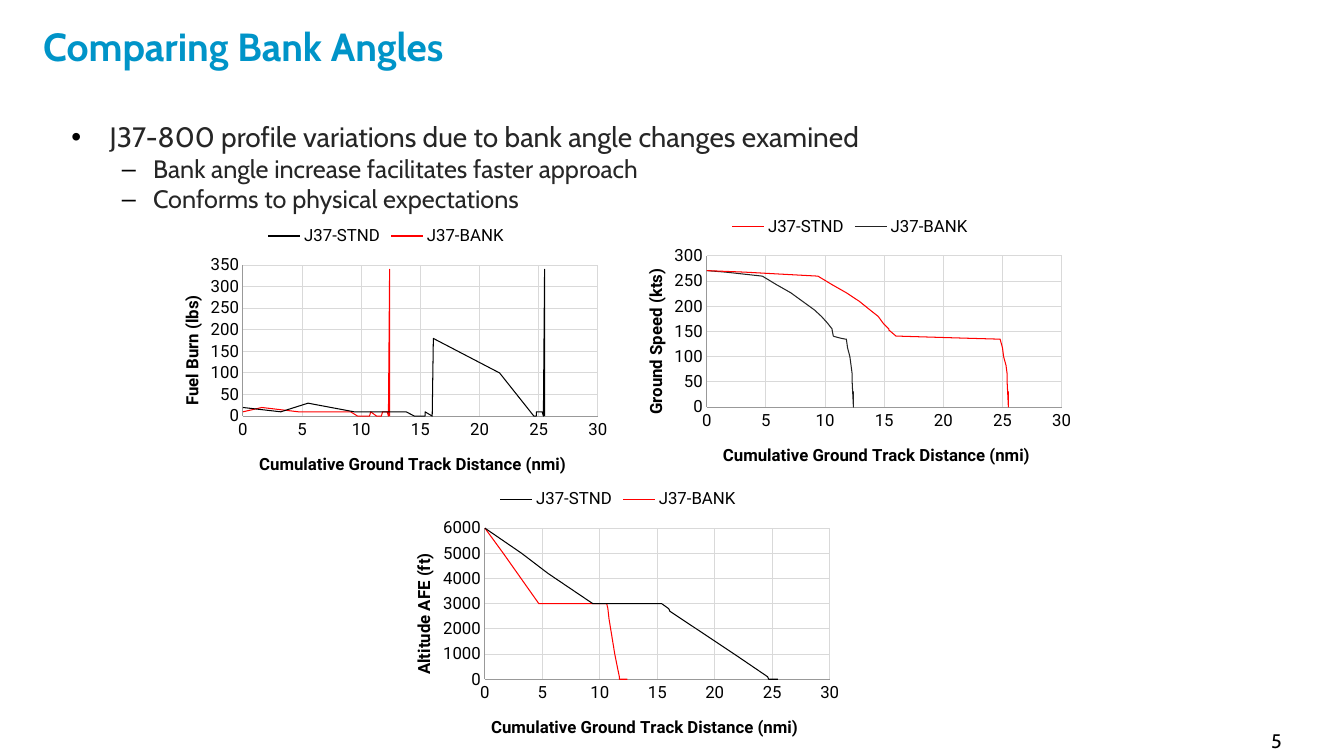
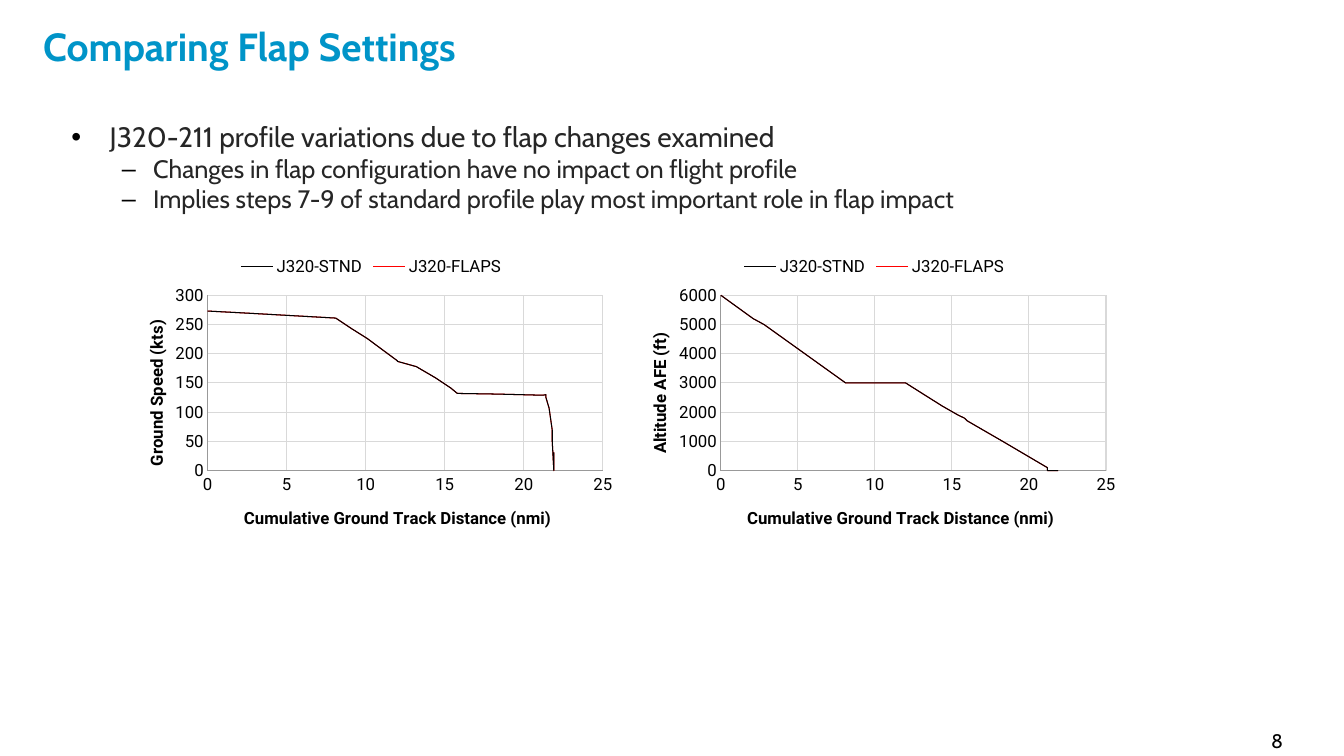
from dataclasses import dataclass

from lxml import etree
from pptx import Presentation
from pptx import util as u
from pptx.chart.data import XyChartData
from pptx.dml.color import RGBColor
from pptx.enum import chart as ch, text
from pptx.oxml.ns import qn

COLORS = {
    "title": "0094C8", "body": "262626", "black": "000000", "red": "FF0000",
    "charcoal": "232323", "axis": "999999", "grid": "D9D9D9",
}
TEXT_FONT, CHART_FONT = "Cabin", "Roboto"
CELL = u.Inches(1)  # the slide is a grid of 13.33 columns by 7.5 rows
COLUMNS, ROWS = 13.33, 7.5

# Space around the plot inside every chart, in grid cells
PLOT_TOP, PLOT_RIGHT, PLOT_BOTTOM = 0.5, 0.2, 0.76
DISTANCE_TITLE = "Cumulative Ground Track Distance (nmi)"


@dataclass(frozen=True)
class Measure:
    title: str
    title_length: float
    top: int
    step: int
    plot_left: float


@dataclass(frozen=True)
class Profile:
    name: str
    distances: list[float]
    values: list[int]
    color: str


@dataclass(frozen=True)
class Panel:
    measure: Measure
    column: float
    row: float
    width: float
    height: float
    farthest: int
    profiles: list[Profile]


@dataclass(frozen=True)
class Page:
    number: int
    title: str
    finding: str
    details: list[str]
    panels: list[Panel]


FUEL = Measure("Fuel Burn (lbs)", 1.1, 350, 50, 0.88)
SPEED = Measure("Ground Speed (kts)", 1.45, 300, 50, 0.88)
ALTITUDE = Measure("Altitude AFE (ft)", 1.2, 6000, 1000, 0.98)

# Distances flown
STND_NMI = [0, 3.2, 5.5, 9.4, 10.6, 11.8, 12.9, 13.8, 14.5, 14.9, 15.4, 15.4, 16, 16.1,
            21.7, 24.6, 24.7, 24.8, 24.8, 25, 25.1, 25.3, 25.4, 25.4, 25.5, 25.5]
BANK_NMI = [0, 1.6, 4.7, 5.9, 7.1, 8.1, 9.1, 9.7, 10.2, 10.6, 10.6, 10.7, 10.8, 11.3,
            11.7, 11.7, 11.7, 11.8, 11.9, 12.1, 12.2, 12.3, 12.3, 12.4, 12.4]
FLAPS_NMI = [0, 2.1, 2.8, 8.1, 9.1, 10.1, 11, 11.5, 12, 12, 13.2, 14.4, 15.4, 15.8, 16,
             18.3, 21.2, 21.2, 21.4, 21.4, 21.6, 21.7, 21.8, 21.8, 21.9, 21.9]

# Values along those distances
STND_FUEL = [20, 10, 30, 10, 10, 10, 10, 10, 0, 0, 0, 10, 0, 180, 100, 0, 0, 0,
             10, 10, 10, 10, 0, 0, 340, 0]
BANK_FUEL = [10, 20, 10, 10, 10, 10, 10, 0, 0, 0, 0, 0, 10, 0, 0, 0, 0,
             10, 10, 10, 10, 0, 0, 340, 0]
STND_SPEED = [271, 268, 265, 260, 243, 227, 210, 193, 180, 167, 155, 153, 141, 141, 137,
              135, 135, 135, 135, 118, 100, 83, 65, 48, 0, 31]
BANK_SPEED = [271, 268, 260, 243, 227, 210, 193, 180, 167, 155, 153, 141, 140, 137,
              135, 135, 135, 135, 118, 100, 83, 65, 48, 0, 31]
FLAPS_SPEED = [273, 270, 269, 261, 243, 226, 208, 198, 188, 187, 178, 159, 141, 132, 132,
               131, 129, 129, 130, 125, 107, 88, 69, 50, 0, 31]
STND_ALTITUDE = [6000, 5000, 4200] + [3000] * 9 + [2800, 2700, 1000, 100] + [0] * 10
BANK_ALTITUDE = [6000, 5000] + [3000] * 9 + [2800, 2400, 1000, 100] + [0] * 10
FLAPS_ALTITUDE = ([6000, 5200, 5000] + [3000] * 7
                  + [2600, 2200, 1900, 1800, 1700, 1000, 100] + [0] * 9)


def bank_panel(measure: Measure, column: float, row: float, stnd: list[int],
               bank: list[int], colors: tuple[str, str] = ("black", "red")) -> Panel:
    return Panel(measure, column, row, 4.6, 2.76, 30, [
        Profile("J37-STND", STND_NMI, stnd, colors[0]),
        Profile("J37-BANK", BANK_NMI, bank, colors[1]),
    ])


def flaps_panel(measure: Measure, column: float, values: list[int]) -> Panel:
    """Both flap settings give the same profile."""
    return Panel(measure, column, 2.43, 5, 3, 25, [
        Profile("J320-STND", FLAPS_NMI, values, "black"),
        Profile("J320-FLAPS", FLAPS_NMI, values, "red"),
    ])


PAGES = [
    Page(5, "Comparing Bank Angles",
         "J37-800 profile variations due to bank angle changes examined",
         ["Bank angle increase facilitates faster approach",
          "Conforms to physical expectations"],
         [bank_panel(FUEL, 1.53, 2.13, STND_FUEL, BANK_FUEL),
          bank_panel(SPEED, 6.13, 2.04, STND_SPEED, BANK_SPEED, ("red", "charcoal")),
          bank_panel(ALTITUDE, 3.83, 4.74, STND_ALTITUDE, BANK_ALTITUDE)]),
    Page(8, "Comparing Flap Settings",
         "J320-211 profile variations due to flap changes examined",
         ["Changes in flap configuration have no impact on flight profile",
          "Implies steps 7-9 of standard profile play most important role in flap impact"],
         [flaps_panel(SPEED, 1.18, FLAPS_SPEED),
          flaps_panel(ALTITUDE, 6.17, FLAPS_ALTITUDE)]),
]


def cells(count: float) -> int:
    return round(count * CELL)


def rgb(name: str) -> RGBColor:
    return RGBColor.from_string(COLORS[name])


def style_font(font, size: float, color: str, face: str, bold: bool = False) -> None:
    font.size, font.name, font.bold = u.Pt(size), face, bold
    font.color.rgb = rgb(color)


def style_line(line, color: str) -> None:
    line.color.rgb = rgb(color)
    line.width = u.Pt(0.75)


def add_frame(slide, column: float, row: float, width: float, height: float,
              wrap: bool = True):
    box = slide.shapes.add_textbox(cells(column), cells(row), cells(width), cells(height))
    box.text_frame.word_wrap = wrap
    return box.text_frame


def add_run(paragraph, words: str, size: float, color: str, bold: bool = False) -> None:
    run = paragraph.add_run()
    run.text = words
    style_font(run.font, size, color, TEXT_FONT, bold)


def set_bullet(paragraph, symbol: str, margin: float, hanging: float) -> None:
    props = paragraph._p.get_or_add_pPr()
    props.set("marL", str(cells(margin)))
    props.set("indent", str(-cells(hanging)))
    color = etree.SubElement(props, qn("a:buClr"))
    etree.SubElement(color, qn("a:srgbClr")).set("val", COLORS["black"])
    etree.SubElement(props, qn("a:buFont")).set("typeface", "Arial")
    etree.SubElement(props, qn("a:buChar")).set("char", symbol)


def place(parent, index: int, shares: dict[str, float], inner: bool = False) -> None:
    """Give a chart part a fixed place, in shares of the chart's size."""
    for old in parent.findall(qn("c:layout")):
        parent.remove(old)
    layout = etree.Element(qn("c:layout"))
    manual = etree.SubElement(layout, qn("c:manualLayout"))
    if inner:
        etree.SubElement(manual, qn("c:layoutTarget")).set("val", "inner")
    for mode in ("xMode", "yMode"):
        etree.SubElement(manual, qn(f"c:{mode}")).set("val", "edge")
    for side, share in shares.items():
        etree.SubElement(manual, qn(f"c:{side}")).set("val", f"{share:.4f}")
    parent.insert(index, layout)


def style_axis(axis, title: str, top: int, step: int, title_at: dict[str, float]) -> None:
    axis.minimum_scale, axis.maximum_scale, axis.major_unit = 0, top, step
    axis.major_tick_mark = axis.minor_tick_mark = ch.XL_TICK_MARK.NONE
    axis.has_major_gridlines = True
    style_line(axis.major_gridlines.format.line, "grid")
    style_line(axis.format.line, "axis")
    style_font(axis.tick_labels.font, 12, "black", CHART_FONT)
    axis.tick_labels.number_format = "General"
    axis.tick_labels.number_format_is_linked = False
    run = axis.axis_title.text_frame.paragraphs[0].add_run()
    run.text = title
    style_font(run.font, 12, "black", CHART_FONT, True)
    place(axis.axis_title._element, 1, title_at)


def add_panel(slide, panel: Panel) -> None:
    data = XyChartData()
    for profile in panel.profiles:
        series = data.add_series(profile.name)
        for distance, value in zip(profile.distances, profile.values):
            series.add_data_point(distance, value)
    chart = slide.shapes.add_chart(
        ch.XL_CHART_TYPE.XY_SCATTER_SMOOTH_NO_MARKERS, cells(panel.column),
        cells(panel.row), cells(panel.width), cells(panel.height), data).chart
    chart.has_title = False
    style_font(chart.font, 10, "black", CHART_FONT)
    chart.has_legend = True
    chart.legend.position = ch.XL_LEGEND_POSITION.TOP
    chart.legend.include_in_layout = False
    style_font(chart.legend.font, 12, "black", CHART_FONT)

    # Profile curves
    chart.plots[0].vary_by_categories = False
    for series, profile in zip(chart.plots[0].series, panel.profiles):
        series.smooth = True
        series.marker.style = ch.XL_MARKER_STYLE.NONE
        style_line(series.format.line, profile.color)

    # Plot area and axes
    measure = panel.measure
    plot_height = panel.height - PLOT_TOP - PLOT_BOTTOM
    place(chart._chartSpace.chart.plotArea, 0, {
        "x": measure.plot_left / panel.width,
        "y": PLOT_TOP / panel.height,
        "w": (panel.width - measure.plot_left - PLOT_RIGHT) / panel.width,
        "h": plot_height / panel.height}, inner=True)
    style_axis(chart.category_axis, DISTANCE_TITLE, panel.farthest, 5, {
        "x": (panel.width / 2 - 1.29) / panel.width,
        "y": (panel.height - 0.43) / panel.height})
    title_top = PLOT_TOP + 0.07 + (plot_height - measure.title_length) / 2
    style_axis(chart.value_axis, measure.title, measure.top, measure.step, {
        "x": 0.23 / panel.width, "y": title_top / panel.height})
    turned = chart.value_axis.axis_title.text_frame._txBody.bodyPr
    turned.set("rot", "-5400000")
    turned.set("vert", "horz")


def add_page(deck, page: Page) -> None:
    slide = deck.slides.add_slide(deck.slide_layouts[6])

    # Title
    heading = add_frame(slide, 0.33, 0.11, 10.39, 0.77)
    heading.vertical_anchor = text.MSO_ANCHOR.MIDDLE
    heading.paragraphs[0].line_spacing = 0.8
    add_run(heading.paragraphs[0], page.title, 28, "title", True)

    # Finding and its details
    body = add_frame(slide, 0.61, 1.14, 12.12, 1.73)
    set_bullet(body.paragraphs[0], "•", 0.38, 0.38)
    add_run(body.paragraphs[0], page.finding, 20, "body")
    for detail in page.details:
        paragraph = body.add_paragraph()
        paragraph.level = 1
        set_bullet(paragraph, "–", 0.81, 0.31)
        add_run(paragraph, detail, 18, "body")

    for panel in page.panels:
        add_panel(slide, panel)

    # Page number
    footer = add_frame(slide, 12.51, 7.18, 0.49, 0.34, wrap=False)
    add_run(footer.paragraphs[0], str(page.number), 14, "black")


def main() -> None:
    deck = Presentation()
    deck.slide_width, deck.slide_height = cells(COLUMNS), cells(ROWS)
    for page in PAGES:
        add_page(deck, page)
    deck.save("out.pptx")


if __name__ == "__main__":
    main()
